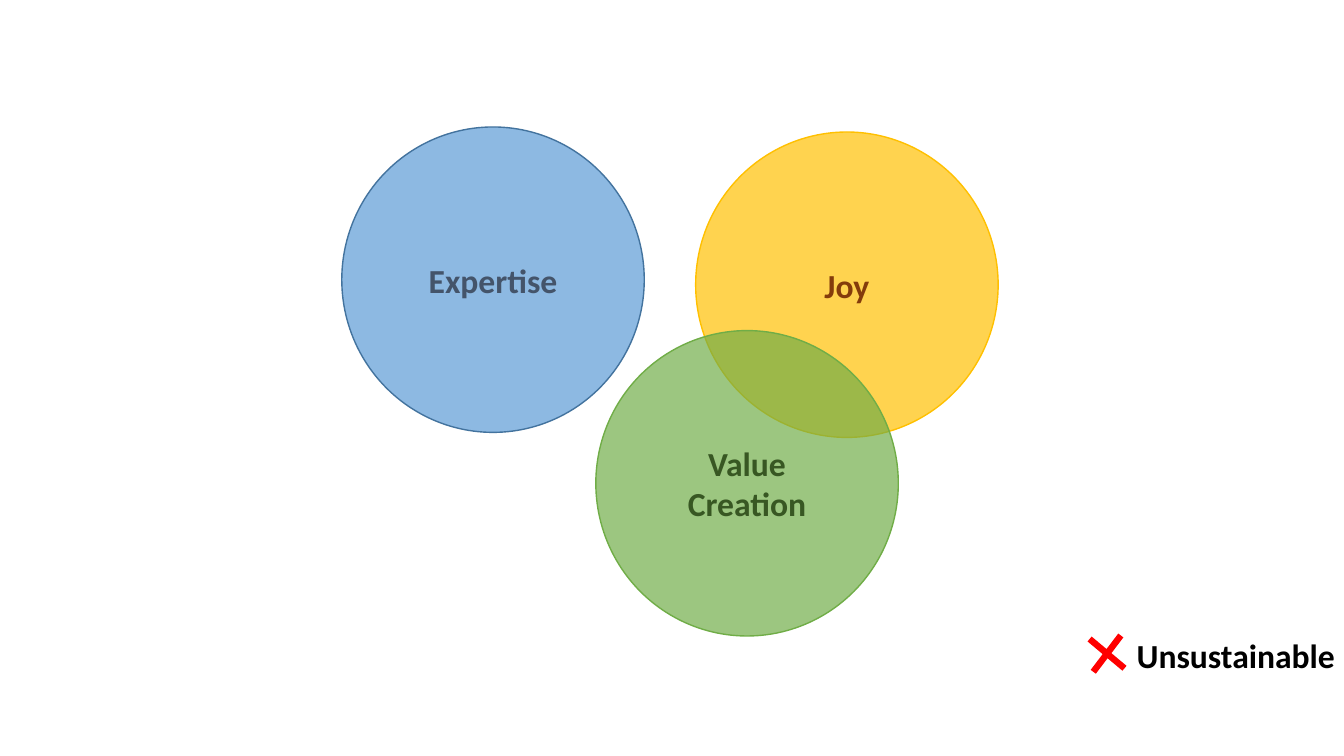
"""Build a slide of three circles with an unsustainable verdict."""
from lxml.etree import SubElement
from pptx import Presentation
from pptx.dml.color import RGBColor
from pptx.enum.shapes import MSO_SHAPE
from pptx.enum.text import MSO_ANCHOR, PP_ALIGN
from pptx.oxml.ns import qn
from pptx.util import Pt

PX = 9144
SIZE = (1333, 750)
DISC = (300, 303)
ALPHA = 69000
COLORS = {
    "blue": "5B9BD5", "navy": "43739E", "slate": "44546A",
    "gold": "FFC000", "brown": "843C0B",
    "green": "70AD47", "moss": "385723",
    "red": "FF0000", "black": "000000",
}
CIRCLES = [
    (["Expertise"], (339, 126), "blue", "navy", "slate"),
    (["Joy"], (690, 131), "gold", "gold", "brown"),
    (["Value", "Creation"], (591, 328), "green", "green", "moss"),
]
VERDICT = ("Unsustainable", (1068, 625, 266, 50))
CROSS = (1068, 617, 60, 63)


def color(name):
    return RGBColor.from_string(COLORS[name])


def scale(*box):
    return [n * PX for n in box]


def write(frame, lines, ink, align):
    frame.word_wrap = True
    for i, line in enumerate(lines):
        para = frame.add_paragraph() if i else frame.paragraphs[0]
        para.alignment = align
        run = para.add_run()
        run.text = line
        font = run.font
        font.name, font.size, font.bold = "Calibri", Pt(24), True
        font.color.rgb = color(ink)


def draw(slide, kind, box, fill):
    shape = slide.shapes.add_shape(kind, *scale(*box))
    shape.shadow.inherit = False
    shape.fill.solid()
    shape.fill.fore_color.rgb = color(fill)
    return shape


def main():
    deck = Presentation()
    deck.slide_width, deck.slide_height = scale(*SIZE)
    slide = deck.slides.add_slide(deck.slide_layouts[6])

    for lines, spot, fill, edge, ink in CIRCLES:
        disc = draw(slide, MSO_SHAPE.OVAL, spot + DISC, fill)
        tint = disc.fill._xPr.find(qn("a:solidFill"))[0]
        SubElement(tint, qn("a:alpha")).set("val", str(ALPHA))
        disc.line.color.rgb = color(edge)
        disc.line.width = Pt(1)
        disc.text_frame.vertical_anchor = MSO_ANCHOR.MIDDLE
        write(disc.text_frame, lines, ink, PP_ALIGN.CENTER)

    text, box = VERDICT
    label = slide.shapes.add_textbox(*scale(*box))
    write(label.text_frame, [text], "black", PP_ALIGN.RIGHT)

    cross = draw(slide, MSO_SHAPE.MATH_MULTIPLY, CROSS, "red")
    cross.line.fill.background()
    cross.adjustments[0] = 0.106
    cross.rotation = 353.6

    deck.save("out.pptx")


if __name__ == "__main__":
    main()
